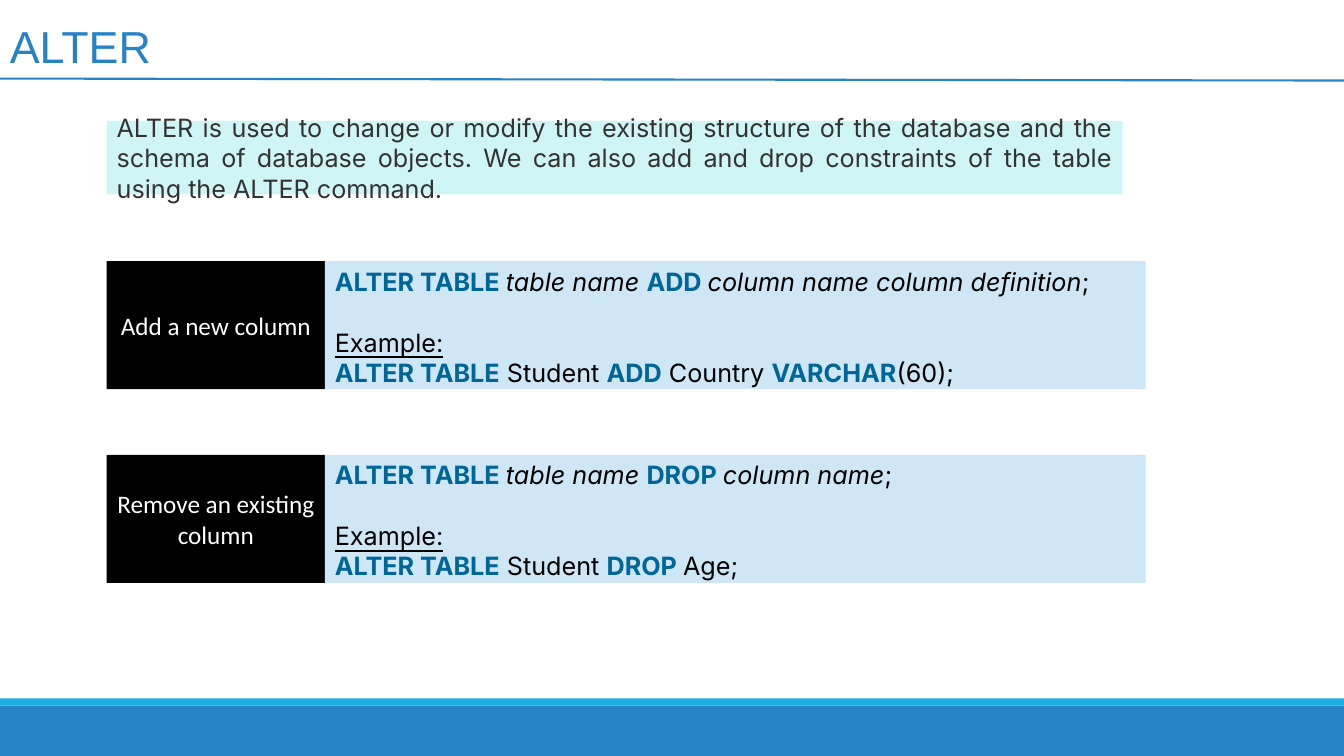
from lxml import etree
from pptx import Presentation
from pptx import util as u
from pptx.dml.color import RGBColor
from pptx.enum import shapes, text
from pptx.oxml import ns

COLORS = {
    "blue": "2683C6", "cyan": "1CADE4", "mint": "D0F5F6", "pale": "CFE6F6",
    "keyword": "006699", "gray": "333333", "black": "000000", "white": "FFFFFF",
}
WIDTH, HEIGHT = 33.87, 19.05
LEFT = 2.69
FORMATS = {
    "title": {"name": "Arial", "size": u.Pt(32), "color": "blue"},
    "intro": {"name": "Inter", "size": u.Pt(18), "color": "gray"},
    "label": {"name": "Calibri", "size": u.Pt(18), "color": "white"},
    "plain": {"name": "Inter", "size": u.Pt(18), "color": "black"},
}
FORMATS["keyword"] = FORMATS["plain"] | {"bold": True, "color": "keyword"}
FORMATS["variable"] = FORMATS["plain"] | {"italic": True}
FORMATS["heading"] = FORMATS["plain"] | {"underline": True}

INTRO = (
    "ALTER is used to change or modify the existing structure of the database "
    "and the schema of database objects. We can also add and drop constraints "
    "of the table using the ALTER command."
)
COMMANDS = [
    ("Add a new column",
     [("variable", "table name "), ("keyword", "ADD "),
      ("variable", "column name column definition"), ("plain", ";")],
     [("plain", " Student "), ("keyword", "ADD"), ("plain", " Country "),
      ("keyword", "VARCHAR"), ("plain", "(60);")]),
    ("Remove an existing column",
     [("variable", "table name "), ("keyword", "DROP "),
      ("variable", "column name"), ("plain", ";")],
     [("plain", " Student "), ("keyword", "DROP "), ("plain", "Age;")]),
]


def rgb(color):
    return RGBColor.from_string(COLORS[color])


def add_box(slide, x, y, w, h, fill):
    sp = slide.shapes.add_shape(
        shapes.MSO_SHAPE.RECTANGLE, u.Cm(x), u.Cm(y), u.Cm(w), u.Cm(h))
    sp.shadow.inherit = False
    sp.fill.solid()
    sp.fill.fore_color.rgb = rgb(fill)
    sp.line.fill.background()
    return sp


def write(sp, lines, align, anchor):
    """Fill a shape with paragraphs, each a list of (format, text) runs."""
    tf = sp.text_frame
    tf.word_wrap = True
    tf.vertical_anchor = anchor
    for i, runs in enumerate(lines):
        p = tf.add_paragraph() if i else tf.paragraphs[0]
        p.alignment = align
        for kind, words in runs:
            r = p.add_run()
            r.text = words
            for key, value in FORMATS[kind].items():
                if key == "color":
                    r.font.color.rgb = rgb(value)
                else:
                    setattr(r.font, key, value)
    return tf


def add_title(slide, words):
    sp = slide.shapes.add_textbox(0, 0, u.Cm(16.93), u.Cm(1.96))
    tf = write(sp, [[("title", words)]], text.PP_ALIGN.LEFT, text.MSO_ANCHOR.BOTTOM)
    tf.paragraphs[0].line_spacing = 0.85


def add_rule(slide):
    line = slide.shapes.add_connector(
        shapes.MSO_CONNECTOR.STRAIGHT, 0, u.Cm(1.98), u.Cm(WIDTH), u.Cm(2.03))
    line.line.color.rgb = rgb("blue")
    line.line.width = u.Pt(1.5)
    etree.SubElement(line._element.spPr, ns.qn("a:effectLst"))


def add_command(slide, y, label, syntax, example):
    """Place a black label beside the syntax and example of one command."""
    label_w, code_w, h = 5.5, 20.68, 3.23
    sp = add_box(slide, LEFT, y, label_w, h, "black")
    write(sp, [[("label", label)]], text.PP_ALIGN.CENTER, text.MSO_ANCHOR.MIDDLE)

    sp = add_box(slide, LEFT + label_w, y, code_w, h, "pale")
    lines = [
        [("keyword", "ALTER TABLE ")] + syntax,
        [("heading", "Example:")],
        [("keyword", "ALTER TABLE")] + example,
    ]
    tf = write(sp, lines, text.PP_ALIGN.JUSTIFY, text.MSO_ANCHOR.TOP)
    tf.paragraphs[1].space_before = u.Pt(21.8)


def main():
    prs = Presentation()
    prs.slide_width, prs.slide_height = u.Cm(WIDTH), u.Cm(HEIGHT)
    slide = prs.slides.add_slide(prs.slide_layouts[6])

    add_box(slide, 0, 17.78, WIDTH, 1.27, "blue")
    add_box(slide, 0, 17.6, WIDTH, 0.18, "cyan")
    add_title(slide, "ALTER")
    add_rule(slide)

    sp = add_box(slide, LEFT, 3.05, 25.6, 1.85, "mint")
    write(sp, [[("intro", INTRO)]], text.PP_ALIGN.JUSTIFY, text.MSO_ANCHOR.MIDDLE)

    for i, command in enumerate(COMMANDS):
        add_command(slide, 6.58 + 4.88 * i, *command)

    prs.save("out.pptx")


if __name__ == "__main__":
    main()
